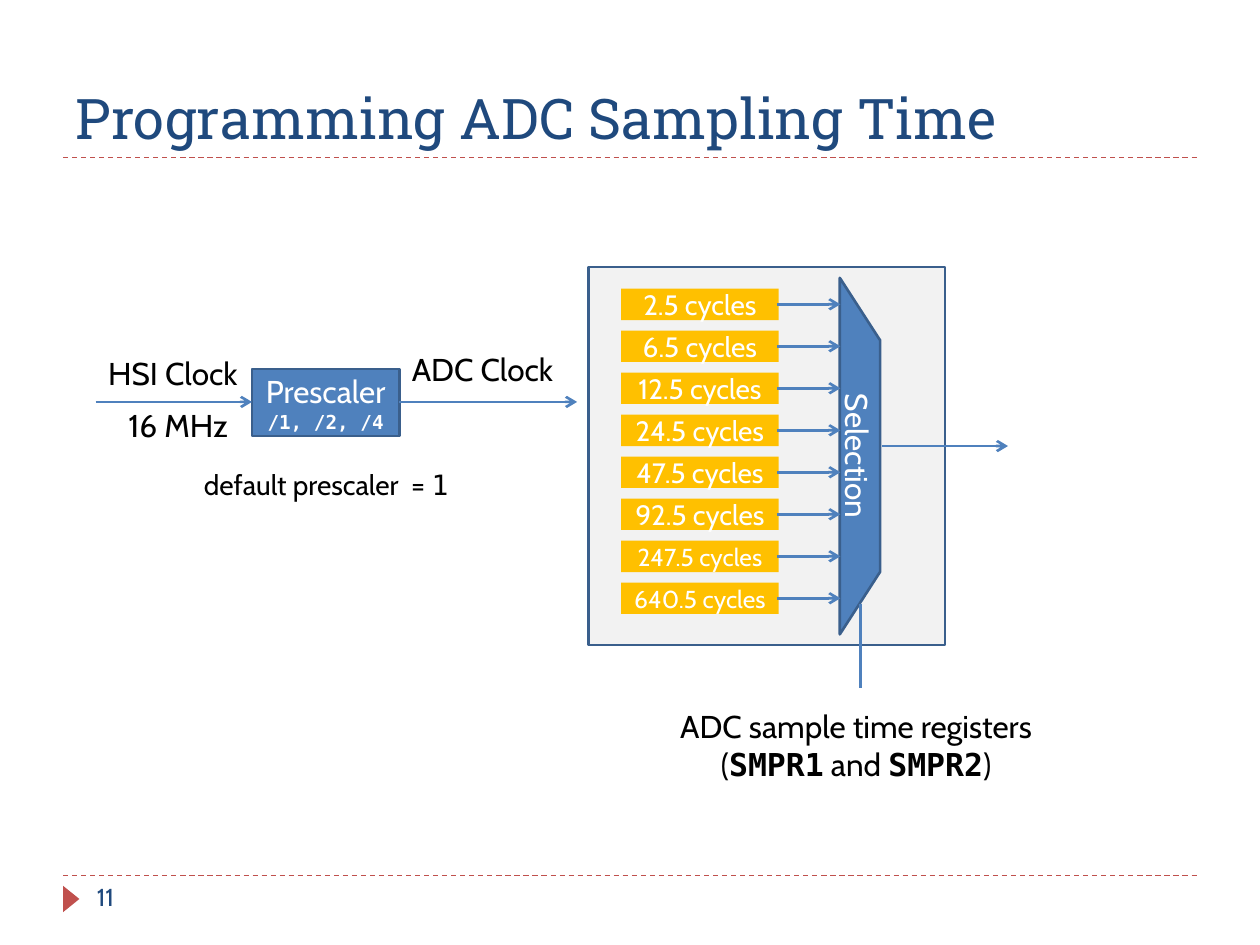
from dataclasses import dataclass

from lxml import etree
from pptx import Presentation
from pptx.dml.color import RGBColor
from pptx.enum.dml import MSO_LINE
from pptx.enum.shapes import MSO_CONNECTOR, MSO_SHAPE
from pptx.enum.text import MSO_ANCHOR, MSO_AUTO_SIZE, PP_ALIGN
from pptx.oxml.ns import qn
from pptx.util import Inches, Pt

CENTER, LEFT = PP_ALIGN.CENTER, PP_ALIGN.LEFT
MIDDLE, BOTTOM = MSO_ANCHOR.MIDDLE, MSO_ANCHOR.BOTTOM
RECTANGLE, TRAPEZOID = MSO_SHAPE.RECTANGLE, MSO_SHAPE.TRAPEZOID
TRIANGLE = MSO_SHAPE.ISOSCELES_TRIANGLE
TITLE_ONLY = 5


@dataclass(frozen=True)
class Theme:
    navy: RGBColor = RGBColor(0x1F, 0x49, 0x7D)
    blue: RGBColor = RGBColor(0x4F, 0x81, 0xBD)
    outline: RGBColor = RGBColor(0x3A, 0x5F, 0x8C)
    red: RGBColor = RGBColor(0xC0, 0x50, 0x4D)
    amber: RGBColor = RGBColor(0xFF, 0xC0, 0x00)
    panel: RGBColor = RGBColor(0xF2, 0xF2, 0xF2)
    white: RGBColor = RGBColor(0xFF, 0xFF, 0xFF)
    black: RGBColor = RGBColor(0, 0, 0)
    heading: str = "Roboto Slab"
    body: str = "Cabin"
    code: str = "DejaVu Sans Mono"
    title_size: Pt = Pt(32)
    label_size: Pt = Pt(18)
    note_size: Pt = Pt(16)
    small_size: Pt = Pt(14)
    code_size: Pt = Pt(11)
    stroke: Pt = Pt(1.5)
    rule: Pt = Pt(0.75)


theme = Theme()

deck = Presentation()
deck.slide_width, deck.slide_height = Inches(10), Inches(7.5)
page = deck.slides.add_slide(deck.slide_layouts[TITLE_ONLY])


def add_line(x1, y1, x2, y2, color=theme.blue, width=theme.stroke, arrow=True):
    line = page.shapes.add_connector(
        MSO_CONNECTOR.STRAIGHT, Inches(x1), Inches(y1), Inches(x2), Inches(y2))
    line.line.color.rgb = color
    line.line.width = width
    if arrow:
        etree.SubElement(line.line._get_or_add_ln(), qn("a:tailEnd"), type="arrow")
    etree.SubElement(line._element.spPr, qn("a:effectLst"))
    return line


def add_box(kind, left, top, width, height, fill=None, outline=None, lines=(),
            color=theme.black, align=CENTER):
    """Add a shape, or a text box when kind is None.

    Each line is (size, spans) and each span is (text, font, bold).
    """
    place = [Inches(value) for value in (left, top, width, height)]
    if kind is None:
        box = page.shapes.add_textbox(*place)
        box.text_frame.word_wrap = False
        box.text_frame.auto_size = MSO_AUTO_SIZE.SHAPE_TO_FIT_TEXT
    else:
        box = page.shapes.add_shape(kind, *place)
        box.shadow.inherit = False
        box.fill.solid()
        box.fill.fore_color.rgb = fill
        box.text_frame.vertical_anchor = MIDDLE
        if outline is None:
            box.line.fill.background()
        else:
            box.line.color.rgb = outline
            box.line.width = theme.stroke
    for index, (size, spans) in enumerate(lines):
        frame = box.text_frame
        para = frame.add_paragraph() if index else frame.paragraphs[0]
        para.alignment = align
        para.font.size = size
        para.font.color.rgb = color
        for text, font, bold in spans:
            span = para.add_run()
            span.text = text
            span.font.name = font
            span.font.bold = bold
    return box


# Page frame
for rule_y in (6.95, 1.25):
    rule = add_line(0.5, rule_y, 9.5, rule_y, theme.red, theme.rule, arrow=False)
    rule.line.dash_style = MSO_LINE.DASH
marker = add_box(TRIANGLE, 0.46, 7.07, 0.21, 0.13, theme.red)
marker.rotation = 90
add_box(None, 0.67, 6.95, 2.17, 0.4, color=theme.navy, align=LEFT,
        lines=[(theme.small_size, [("11", theme.body, False)])]
        ).text_frame.word_wrap = True

title = page.shapes.title
title.left, title.top = Inches(0.5), Inches(0.17)
title.width, title.height = Inches(9), Inches(1.08)
title.text_frame.text = "Programming ADC Sampling Time"
title.text_frame.vertical_anchor = BOTTOM
title.text_frame.auto_size = MSO_AUTO_SIZE.NONE
heading = title.text_frame.paragraphs[0]
heading.alignment = LEFT
heading.font.name = theme.heading
heading.font.size = theme.title_size
heading.font.color.rgb = theme.navy

# Clock path
clock_y = 3.19
add_box(RECTANGLE, 2, 2.93, 1.17, 0.53, theme.blue, theme.outline, color=theme.white,
        lines=[(theme.label_size, [("Prescaler", theme.body, False)]),
               (theme.code_size, [("/1, /2, /4", theme.code, True)])])
add_line(0.76, clock_y, 2, clock_y)
add_line(3.17, clock_y, 4.58, clock_y)
for text, left, top, width in (("HSI Clock", 0.76, 2.76, 1.24),
                               ("16 MHz", 0.92, 3.17, 1.01),
                               ("ADC Clock", 3.17, 2.73, 1.41)):
    add_box(None, left, top, width, 0.4, align=LEFT,
            lines=[(theme.label_size, [(text, theme.body, False)])])
add_box(None, 1.52, 3.66, 2.15, 0.37, align=LEFT,
        lines=[(theme.note_size, [("default prescaler  = ", theme.body, False),
                                  ("1", theme.code, False)])])

# Sampling time selector
add_box(RECTANGLE, 4.67, 2.12, 2.83, 3, theme.panel, theme.outline)
selector = add_box(TRAPEZOID, 5.41, 3.46, 2.83, 0.32, theme.blue, theme.outline,
                   color=theme.white,
                   lines=[(theme.label_size, [("Selection", theme.body, False)])])
selector.adjustments[0] = 1.55
selector.rotation = 90

cycles = ("2.5", "6.5", "12.5", "24.5", "47.5", "92.5", "247.5", "640.5")
first_top, row_height, row_step = 2.29, 0.25, 1 / 3
for row, count in enumerate(cycles):
    top = first_top + row * row_step
    size = theme.small_size if len(count) > 4 else theme.note_size
    add_box(RECTANGLE, 4.93, top, 1.25, row_height, theme.amber, color=theme.white,
            lines=[(size, [(f"{count} cycles", theme.body, False)])])
    arrow_y = top + row_height / 2
    add_line(6.17, arrow_y, 6.67, arrow_y)

add_line(7, 3.54, 8, 3.54)
add_line(6.83, 5.46, 6.83, 4.79, arrow=False)
registers = add_box(
    None, 5.3, 5.56, 3.05, 0.71,
    lines=[(theme.label_size, [("ADC sample time registers", theme.body, False)]),
           (theme.label_size, [("(", theme.body, False), ("SMPR1", theme.code, True),
                               (" and ", theme.body, False), ("SMPR2", theme.code, True),
                               (")", theme.body, False)])])
registers.text_frame.paragraphs[0].alignment = LEFT

deck.save("out.pptx")
